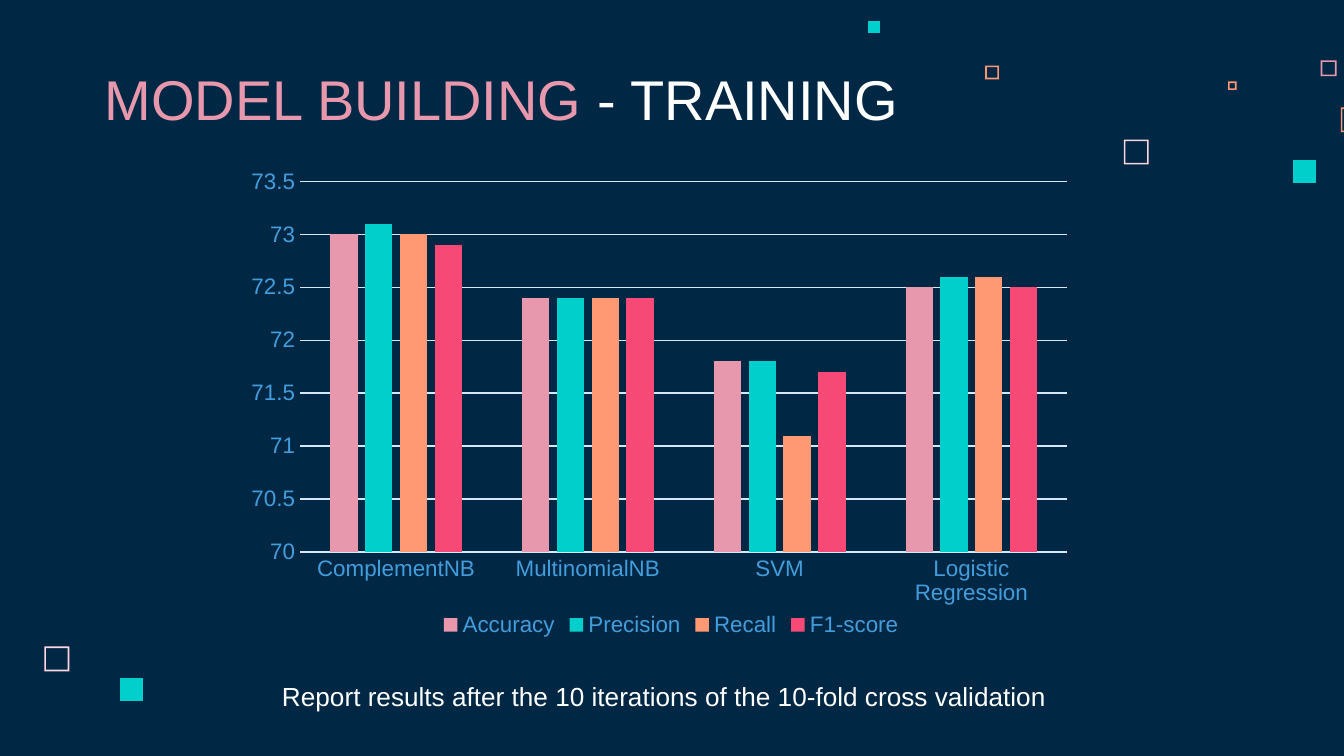
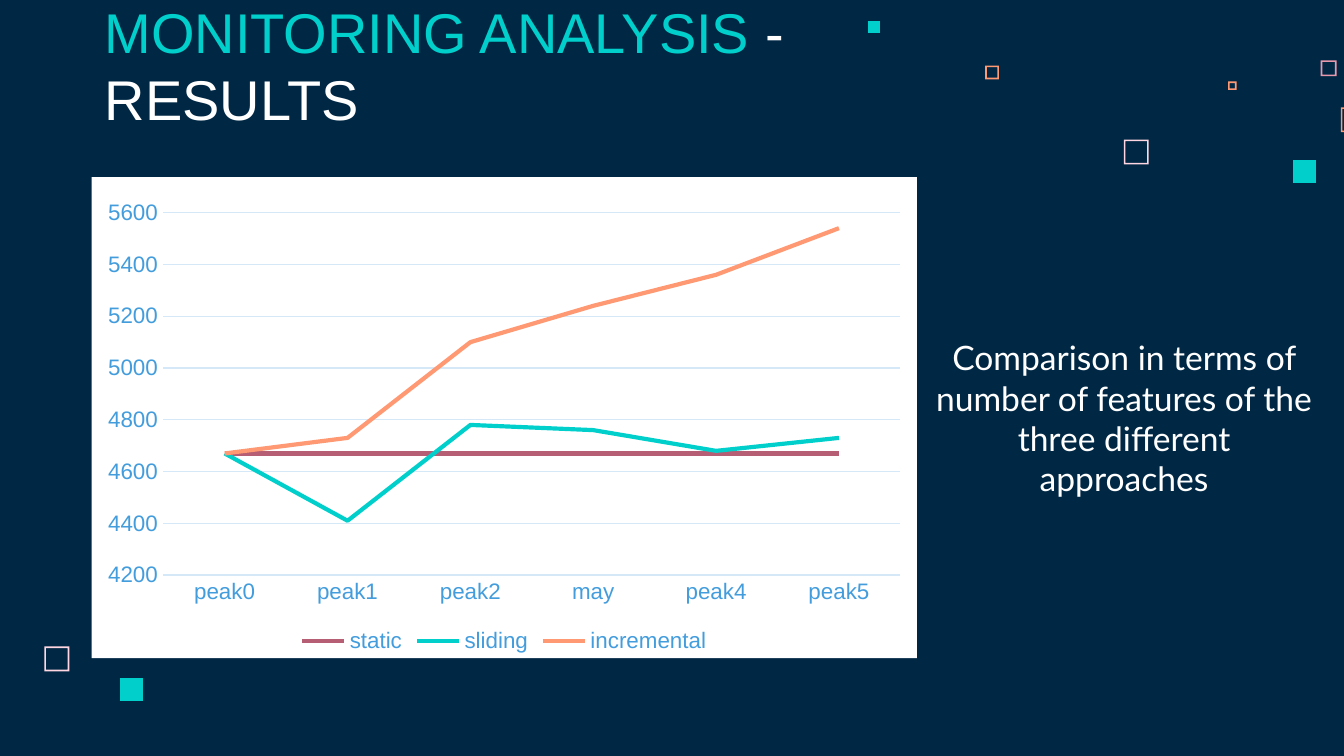
from lxml import etree
from pptx import Presentation
from pptx.chart.data import CategoryChartData
from pptx.dml.color import RGBColor
from pptx.enum.chart import XL_CHART_TYPE, XL_LEGEND_POSITION, XL_TICK_MARK
from pptx.enum.text import MSO_ANCHOR, PP_ALIGN
from pptx.oxml import parse_xml
from pptx.oxml.ns import nsdecls, qn
from pptx.util import Cm, Pt

COLUMN, LINE = XL_CHART_TYPE.COLUMN_CLUSTERED, XL_CHART_TYPE.LINE
BOTTOM, NO_TICK = XL_LEGEND_POSITION.BOTTOM, XL_TICK_MARK.NONE
ANCHOR_TOP, ANCHOR_BOTTOM = MSO_ANCHOR.TOP, MSO_ANCHOR.BOTTOM
LEFT, CENTER = PP_ALIGN.LEFT, PP_ALIGN.CENTER

COLORS = {
    "navy": "002845",
    "white": "FFFFFF",
    "pink": "E898AC",
    "blush": "FFD6E1",
    "teal": "00CFCC",
    "orange": "FF9973",
    "red": "F64975",
    "plum": "B55E74",
    "label": "439DDD",
    "grid": "D4E8F7",
}
FONT = "Arial"
FRAME_WIDTH = 0.03
FRAMES = [
    (21.24, 2.64, 0.47, "blush"),
    (24.96, 1.14, 0.3, "pink"),
    (23.21, 1.54, 0.16, "orange"),
    (25.34, 2.03, 0.47, "orange"),
    (18.62, 1.24, 0.26, "orange"),
    (0.84, 12.22, 0.47, "blush"),
]
SQUARES = [
    (24.43, 3.02, 0.44, "teal"),
    (16.41, 0.4, 0.22, "teal"),
    (2.26, 12.81, 0.44, "teal"),
]


def rgb(name):
    """Return the named colour."""
    return RGBColor.from_string(COLORS[name])


def corners(left, top, side):
    """Return the corners of a square, in EMU."""
    right, bottom = left + side, top + side
    return [(Cm(x), Cm(y)) for x, y in
            ((left, top), (left, bottom), (right, bottom), (right, top))]


def add_square(slide, left, top, side, color, hollow=False):
    """Draw a solid square or a thin square frame."""
    outer = corners(left, top, side)
    builder = slide.shapes.build_freeform(*outer[0])
    builder.add_line_segments(outer[1:], close=True)
    if hollow:
        inner = corners(left + FRAME_WIDTH, top + FRAME_WIDTH, side - 2 * FRAME_WIDTH)[::-1]
        builder.move_to(*inner[0])
        builder.add_line_segments(inner[1:], close=True)
    sp = builder.convert_to_shape()
    sp.shadow.inherit = False
    sp.fill.solid()
    sp.fill.fore_color.rgb = rgb(color)
    sp.line.fill.background()


def add_text(slide, box, runs, size, font=FONT, align=LEFT, anchor=ANCHOR_TOP):
    """Add a wrapped text box made of coloured runs."""
    tf = slide.shapes.add_textbox(*map(Cm, box)).text_frame
    tf.word_wrap = True
    tf.vertical_anchor = anchor
    p = tf.paragraphs[0]
    p.alignment = align
    for text, color in runs:
        r = p.add_run()
        r.text = text
        r.font.size = Pt(size)
        r.font.name = font
        r.font.color.rgb = rgb(color)
    return tf


def add_title(slide, *runs):
    """Add the slide title, growing upward from its baseline."""
    tf = add_text(slide, (1.73, 1.14, 17.7, 1.6), runs, 30, anchor=ANCHOR_BOTTOM)
    tf.margin_left = tf.margin_right = tf.margin_top = tf.margin_bottom = Cm(0.25)


def style_line(line, color, width):
    """Set the colour and width of a line."""
    line.color.rgb = rgb(color)
    line.width = Pt(width)


def style_font(font):
    """Apply the chart label style."""
    font.size = Pt(12)
    font.name = FONT
    font.color.rgb = rgb("label")


def set_background(chart, color=None):
    """Fill the chart area, or leave it clear."""
    fill = "<a:noFill/>"
    if color:
        fill = f'<a:solidFill><a:srgbClr val="{COLORS[color]}"/></a:solidFill>'
    chart._chartSpace.chart.addnext(parse_xml(
        f'<c:spPr {nsdecls("c", "a")}>{fill}<a:ln><a:noFill/></a:ln></c:spPr>'))


def set_plot_layout(chart, x, y, w, h):
    """Place the inner plot area by fractions of the chart."""
    area = chart._chartSpace.chart.plotArea
    for old in area.findall(qn("c:layout")):
        area.remove(old)
    layout = etree.Element(qn("c:layout"))
    manual = etree.SubElement(layout, qn("c:manualLayout"))
    settings = {"layoutTarget": "inner", "xMode": "edge", "yMode": "edge",
                "x": x, "y": y, "w": w, "h": h}
    for tag, value in settings.items():
        etree.SubElement(manual, qn(f"c:{tag}")).set("val", str(value))
    area.insert(0, layout)


def add_chart(slide, kind, box, categories, series, scale, background=None):
    """Add a chart with the shared axes, grid and legend."""
    data = CategoryChartData()
    data.categories = categories
    for name, _, values in series:
        data.add_series(name, values)
    chart = slide.shapes.add_chart(kind, *map(Cm, box), data).chart
    chart.has_title = False
    style_font(chart.font)
    set_background(chart, background)
    chart.has_legend = True
    chart.legend.position = BOTTOM
    chart.legend.include_in_layout = False
    style_font(chart.legend.font)

    cat, val = chart.category_axis, chart.value_axis
    for axis in (cat, val):
        axis.major_tick_mark = axis.minor_tick_mark = NO_TICK
        style_font(axis.tick_labels.font)
    style_line(cat.format.line, "grid", 0.75)
    val.format.line.fill.background()
    val.has_major_gridlines = True
    style_line(val.major_gridlines.format.line, "grid", 0.75)
    val.tick_labels.number_format = "General"
    val.tick_labels.number_format_is_linked = False
    val.minimum_scale, val.maximum_scale, val.major_unit = scale

    plot = chart.plots[0]
    plot.vary_by_categories = False
    for s, (_, color, _) in zip(plot.series, series):
        if kind == LINE:
            s.smooth = False
            style_line(s.format.line, color, 2.25)
        else:
            s.format.fill.solid()
            s.format.fill.fore_color.rgb = rgb(color)
    return chart


def add_slide(prs):
    """Add a blank slide with the scattered squares."""
    slide = prs.slides.add_slide(prs.slide_layouts[6])
    for frame in FRAMES:
        add_square(slide, *frame, hollow=True)
    for square in SQUARES:
        add_square(slide, *square)
    return slide


def build_training(prs):
    """Build the slide on model training scores."""
    slide = add_slide(prs)
    add_title(slide, ("MODEL BUILDING", "pink"), (" - TRAINING", "white"))
    chart = add_chart(
        slide, COLUMN, (4.72, 2.13, 15.93, 10.01),
        ["ComplementNB", "MultinomialNB", "SVM", "Logistic Regression"],
        [("Accuracy", "pink", (73.0, 72.4, 71.8, 72.5)),
         ("Precision", "teal", (73.1, 72.4, 71.8, 72.6)),
         ("Recall", "orange", (73.0, 72.4, 71.1, 72.6)),
         ("F1-score", "red", (72.9, 72.4, 71.7, 72.5))],
        (70, 73.5, 0.5))
    chart.plots[0].gap_width = 219
    chart.plots[0].overlap = -27
    set_plot_layout(chart, 0.06, 0.13, 0.91, 0.7)
    add_text(slide, (5.08, 12.73, 15.27, 0.86),
             [("Report results after the 10 iterations of the 10-fold cross validation", "white")], 14)


def build_monitoring(prs):
    """Build the slide on feature counts over time."""
    slide = add_slide(prs)
    add_title(slide, ("MONITORING ANALYSIS ", "teal"), ("- RESULTS", "white"))
    add_text(slide, (17.32, 6.25, 7.85, 3.33),
             [("Comparison in terms of number of features of the three different approaches", "white")],
             18, font="Lato", align=CENTER)
    add_chart(
        slide, LINE, (1.73, 3.35, 15.6, 9.09),
        ["peak0", "peak1", "peak2", "may", "peak4", "peak5"],
        [("static", "plum", (4670,) * 6),
         ("sliding", "teal", (4670, 4410, 4780, 4760, 4680, 4730)),
         ("incremental", "orange", (4670, 4730, 5100, 5240, 5360, 5540))],
        (4200, 5700, 200), background="white")


def main():
    """Build and save the presentation."""
    prs = Presentation()
    prs.slide_width, prs.slide_height = Cm(25.4), Cm(14.29)
    fill = prs.slide_master.background.fill
    fill.solid()
    fill.fore_color.rgb = rgb("navy")
    build_training(prs)
    build_monitoring(prs)
    prs.save("out.pptx")


if __name__ == "__main__":
    main()
